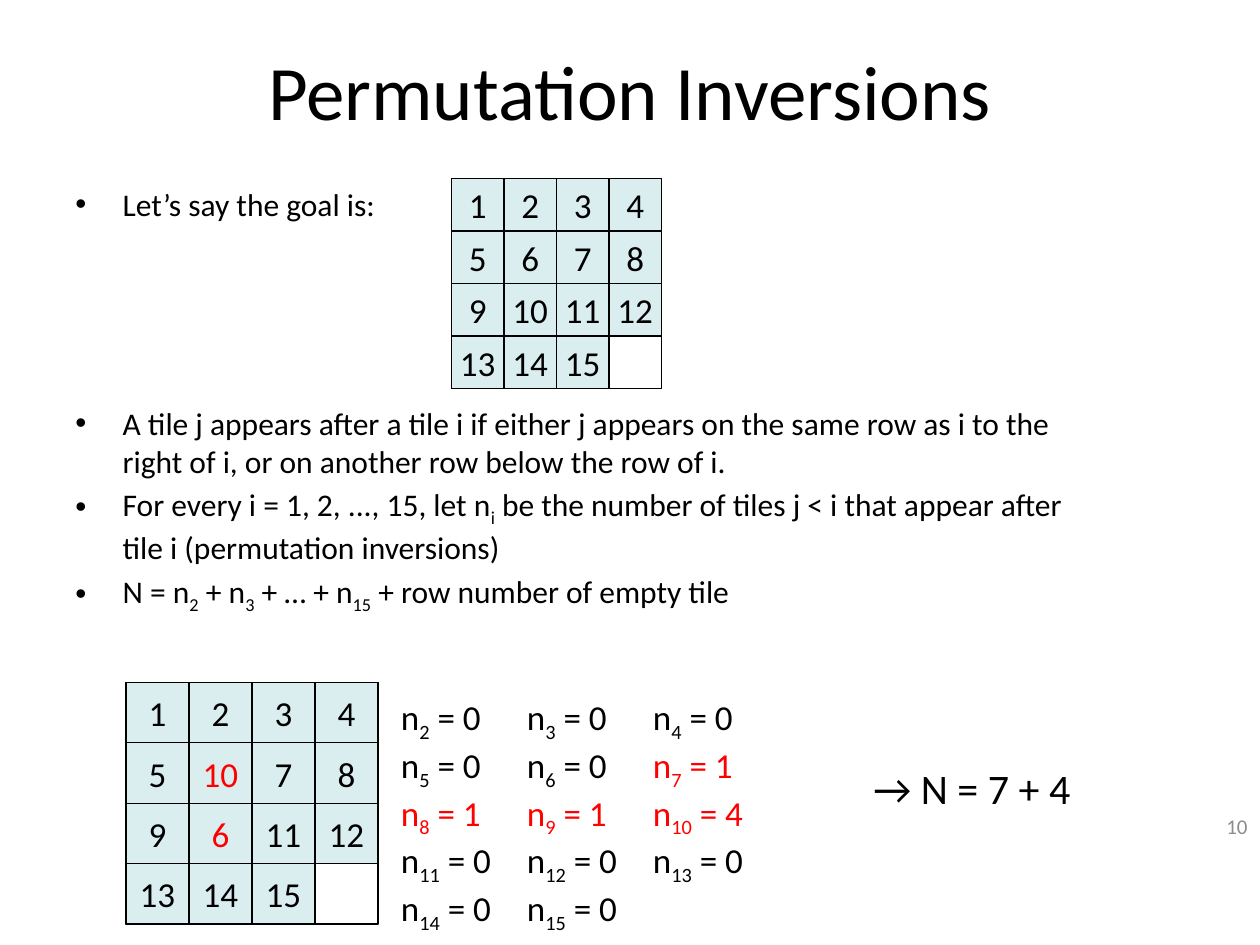
from lxml import etree
from pptx import Presentation
from pptx.dml import color
from pptx.enum import shapes, text
from pptx.oxml import ns
from pptx.util import Pt

FONT = "Calibri"
BLACK, RED, GREY, TILE = "000000", "FF0000", "8C8C8C", "DAEEF0"
GOAL = [*range(1, 16), None]
BOARD = [1, 2, 3, 4, 5, 10, 7, 8, 9, 6, 11, 12, 13, 14, 15, None]
SIDE = 4
POINTS = [
    ("Let’s say the goal is:", 0),
    ("A tile j appears after a tile i if either j appears on the same row as i "
     "to the right of i, or on another row below the row of i.", 103.8),
    ("For every i = 1, 2, ..., 15, let n~i~ be the number of tiles j < i "
     "that appear after tile i (permutation inversions)", 3.2),
    ("N = n~2~ + n~3~ + … + n~15~ + row number of empty tile", 3.2),
]


def rgb(value):
    return color.RGBColor.from_string(value)


def style(para, size, shade=BLACK, align=text.PP_ALIGN.LEFT):
    para.alignment = align
    para.font.name = FONT
    para.font.size = Pt(size)
    para.font.color.rgb = rgb(shade)


def add_spans(para, marked, shade=None):
    for index, piece in enumerate(marked.split("~")):
        span = para.add_run()
        span.text = piece
        if shade:
            span.font.color.rgb = rgb(shade)
        if index % 2:
            span._r.get_or_add_rPr().set("baseline", "-25000")


def add_box(page, left, top, width, height, anchor=text.MSO_ANCHOR.TOP):
    box = page.shapes.add_textbox(Pt(left), Pt(top), Pt(width), Pt(height))
    box.text_frame.word_wrap = True
    box.text_frame.vertical_anchor = anchor
    return box.text_frame


def add_label(page, words, place, size, shade=BLACK, align=text.PP_ALIGN.LEFT,
              anchor=text.MSO_ANCHOR.TOP):
    para = add_box(page, *place, anchor).paragraphs[0]
    para.text = words
    style(para, size, shade, align)


def add_title(page, words):
    title = page.shapes.title
    title.left, title.top, title.width, title.height = Pt(36), Pt(6), Pt(648), Pt(90)
    title.text_frame.text = words
    title.text_frame.vertical_anchor = text.MSO_ANCHOR.MIDDLE
    style(title.text_frame.paragraphs[0], 44, align=text.PP_ALIGN.CENTER)


def add_points(page):
    frame = add_box(page, 36, 102, 588, 384)
    for index, (words, gap) in enumerate(POINTS):
        para = frame.add_paragraph() if index else frame.paragraphs[0]
        add_spans(para, words)
        props = para._p.get_or_add_pPr()
        props.set("marL", str(Pt(27)))
        props.set("indent", str(Pt(-27)))
        etree.SubElement(props, ns.qn("a:buFont"), typeface="Arial")
        etree.SubElement(props, ns.qn("a:buChar"), char="•")
        if gap:
            para.space_before = Pt(gap)
        style(para, 18)


def add_square(page, left, top, width, height, fill=None):
    square = page.shapes.add_shape(
        shapes.MSO_SHAPE.RECTANGLE, Pt(left), Pt(top), Pt(width), Pt(height))
    square.shadow.inherit = False
    square.line.color.rgb = rgb(BLACK)
    square.line.width = Pt(0.75)
    if fill:
        square.fill.solid()
        square.fill.fore_color.rgb = rgb(fill)
    else:
        square.fill.background()
    return square


def add_puzzle(page, tiles, left, top, width, height):
    add_square(page, left, top, width * SIDE, height * SIDE)
    for index, (tile, home) in enumerate(zip(tiles, GOAL)):
        if tile is None:
            continue
        row, column = divmod(index, SIDE)
        square = add_square(
            page, left + column * width, top + row * height, width, height, TILE)
        frame = square.text_frame
        frame.word_wrap = False
        frame.vertical_anchor = text.MSO_ANCHOR.MIDDLE
        frame.text = str(tile)
        style(frame.paragraphs[0], 20, BLACK if tile == home else RED,
              text.PP_ALIGN.CENTER)


def count_inversions(tiles, tile):
    after = tiles[tiles.index(tile) + 1:]
    return sum(1 for other in after if other is not None and other < tile)


def add_counts(page, counts, columns=3):
    frame = add_box(page, 222, 394, 219.6, 128)
    for index, (tile, count) in enumerate(counts.items()):
        if index % columns == 0:
            para = frame.add_paragraph() if index else frame.paragraphs[0]
            style(para, 20)
        else:
            para.add_run().text = "\t"
        add_spans(para, f"n~{tile}~ = {count}", RED if count else BLACK)


def main():
    deck = Presentation()
    deck.slide_width, deck.slide_height = Pt(720), Pt(540)
    page = deck.slides.add_slide(deck.slide_layouts[5])
    add_title(page, "Permutation Inversions")
    add_points(page)
    add_label(page, "10", (672, 451.5, 48, 41), 12, GREY,
              text.PP_ALIGN.RIGHT, text.MSO_ANCHOR.MIDDLE)
    add_puzzle(page, GOAL, 258, 102, 30, 30)
    add_puzzle(page, BOARD, 72, 390, 36, 34.5)
    counts = {tile: count_inversions(BOARD, tile) for tile in range(2, 16)}
    add_counts(page, counts)
    empty_row = BOARD.index(None) // SIDE + 1
    add_label(page, f"→ N = {sum(counts.values())} + {empty_row}",
              (492, 432, 129.6, 36), 24)
    deck.save("out.pptx")


if __name__ == "__main__":
    main()
